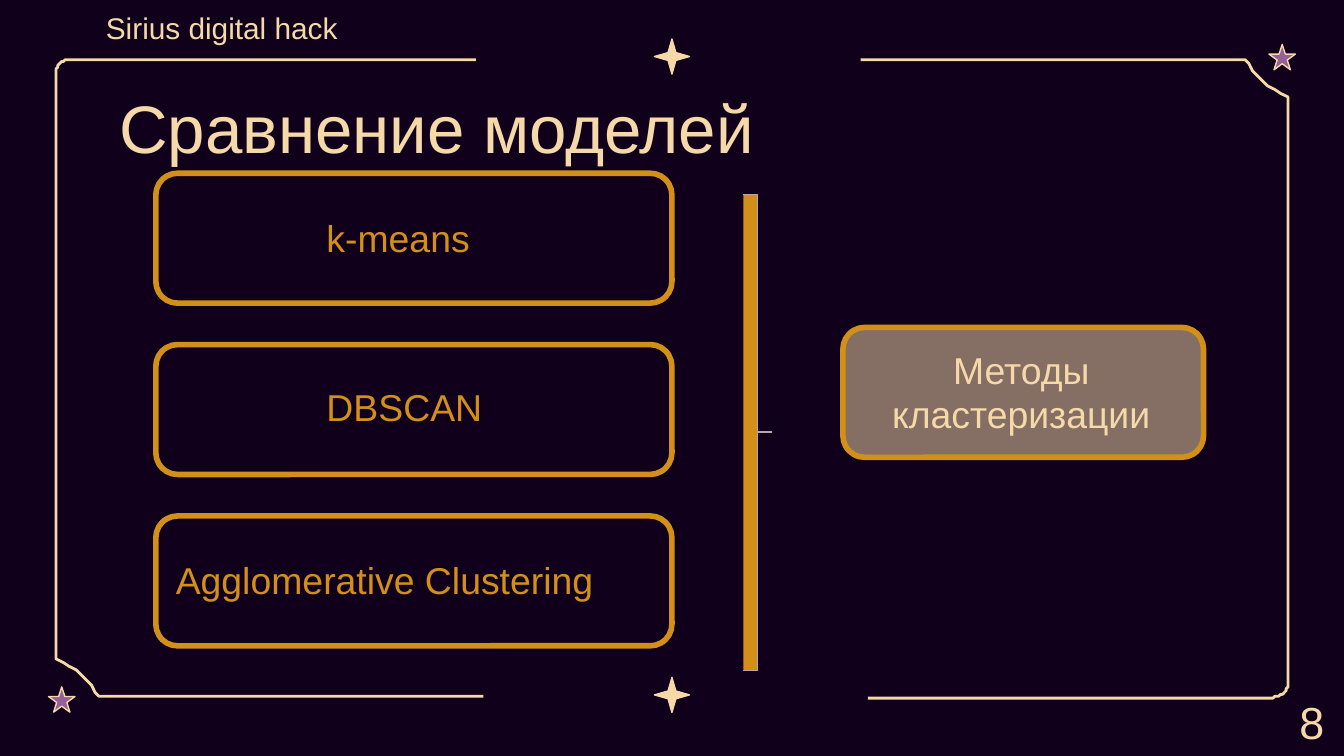
"""Build the model comparison slide with its star-decorated frame."""
import pptx
import pptx.util
import pptx.dml.color
import pptx.enum.shapes
import pptx.enum.text

Pt = pptx.util.Pt
SHAPE = pptx.enum.shapes.MSO_SHAPE
ALIGN = pptx.enum.text.PP_ALIGN
W, H = 720, 405
COLORS = {"bg": "11001C", "cream": "F5D9A9", "gold": "D29018",
          "violet": "955F99", "gray": "B4A8A9"}
RGB = {k: pptx.dml.color.RGBColor.from_string(v) for k, v in COLORS.items()}

prs = pptx.Presentation()
prs.slide_width, prs.slide_height = Pt(W), Pt(H)
s = prs.slides.add_slide(prs.slide_layouts[6])
s.background.fill.solid()
s.background.fill.fore_color.rgb = RGB["bg"]


def style(sp, fill, line, width):
    sp.shadow.inherit = False
    if fill:
        sp.fill.solid()
        sp.fill.fore_color.rgb = RGB[fill]
    else:
        sp.fill.background()
    sp.line.color.rgb = RGB[line]
    sp.line.width = Pt(width)


def add_text(text, x, y, w, h, size=20, color="gold", align=ALIGN.LEFT, side=7.2, top=3.6):
    tf = s.shapes.add_textbox(Pt(x), Pt(y), Pt(w), Pt(h)).text_frame
    tf.word_wrap = True
    tf.margin_left = tf.margin_right = Pt(side)
    tf.margin_top = Pt(top)
    p = tf.paragraphs[0]
    p.alignment = align
    r = p.add_run()
    r.text = text
    r.font.name = "Arial"
    r.font.size = Pt(size)
    r.font.color.rgb = RGB[color]


for y in (362.9, 20.9):
    sp = s.shapes.add_shape(SHAPE.STAR_4_POINT, Pt(350.6), Pt(y), Pt(18.8), Pt(18.8))
    sp.adjustments[0] = 0.158
    style(sp, "cream", "cream", 0.75)
for x, y in ((26, 368), (679.8, 23.8)):
    sp = s.shapes.add_shape(SHAPE.STAR_5_POINT, Pt(x), Pt(y), Pt(14.2), Pt(13.6))
    style(sp, "violet", "cream", 0.75)

curves = [
    [(667.4, 31.7), (671.8, 41), (680.4, 48.2), (690.4, 51.8)],
    [(690.4, 365), (690.4, 369.8), (686.6, 373.5), (681.8, 373.5)],
]
frame = [(460.8, 31.7)]
for curve in curves:
    for i in range(13):
        t = i / 12
        weights = ((1 - t) ** 3, 3 * t * (1 - t) ** 2, 3 * t * t * (1 - t), t ** 3)
        frame.append(tuple(sum(k * pt[axis] for k, pt in zip(weights, curve)) for axis in (0, 1)))
frame.append((465.1, 373.5))
for points in ([(W - x, H - y) for x, y in frame], frame):
    fb = s.shapes.build_freeform(*points[0], scale=Pt(1))
    fb.add_line_segments(points[1:], close=False)
    style(fb.convert_to_shape(), None, "cream", 1.5)

add_text("Сравнение моделей", 56.9, 35.3, 607, 45.4, size=36, color="cream", top=10.8)
add_text("Sirius digital hack", 49.7, 1.8, 165.6, 43.9, size=16, color="cream")

models = [("k-means", 167.8, 111.6, 165.6), ("DBSCAN", 167.8, 202.3, 218.9),
          ("Agglomerative Clustering", 87.1, 295.2, 300.2)]
for i, (name, x, y, w) in enumerate(models):
    sp = s.shapes.add_shape(SHAPE.ROUNDED_RECTANGLE, Pt(83.5), Pt(92.8 + 91.8 * i), Pt(276.5), Pt(69.6))
    style(sp, None, "gold", 3)
    add_text(name, x, y, w, 31.5)

sp = s.shapes.add_shape(SHAPE.RIGHT_BRACE, Pt(398.2), Pt(104.2), Pt(15.2), Pt(254.9))
sp.adjustments[0] = 0
sp.adjustments[1] = 0.499
style(sp, "gold", "gray", 0.75)

add_text("Методы кластеризации", 458.6, 182.2, 177.1, 55.7, color="cream", align=ALIGN.CENTER)
sp = s.shapes.add_shape(SHAPE.ROUNDED_RECTANGLE, Pt(451.6), Pt(175.4), Pt(193.2), Pt(69.6))
style(sp, "cream", "gold", 3)
color = sp.fill._xPr.find(".//" + pptx.oxml.ns.qn("a:srgbClr"))
alpha = pptx.oxml.parse_xml(
    '<a:alpha xmlns:a="http://schemas.openxmlformats.org/drawingml/2006/main" val="51000"/>')
color.append(alpha)

add_text("8", 689, 368.6, 22, 36.4, size=24, color="cream", side=7.2)

prs.save("out.pptx")
